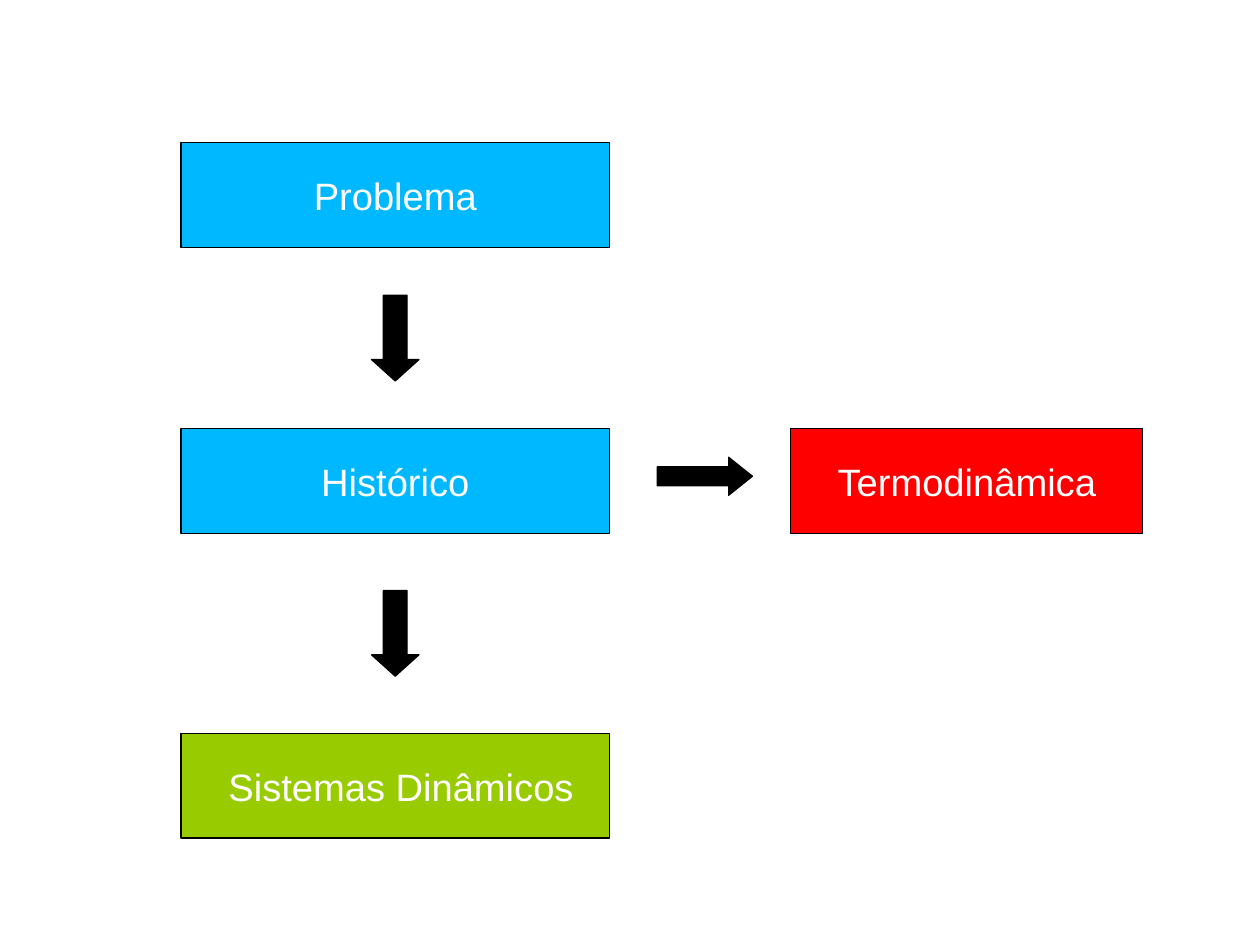
from pptx import Presentation
from pptx.dml.color import RGBColor
from pptx.enum.shapes import MSO_SHAPE as Shape
from pptx.enum.text import MSO_ANCHOR as Anchor, MSO_AUTO_SIZE as AutoSize, PP_ALIGN as Align
from pptx.util import Cm, Inches, Pt

BLUE = RGBColor(0x00, 0xB8, 0xFF)
RED = RGBColor(0xFF, 0x00, 0x00)
GREEN = RGBColor(0x99, 0xCC, 0x00)
BLACK = RGBColor(0x00, 0x00, 0x00)
WHITE = RGBColor(0xFF, 0xFF, 0xFF)

# Grid: twelve cells to the inch
CELL = Inches(1) // 12
MAIN_LEFT, MAIN_WIDTH = 19, 45
SIDE_LEFT, SIDE_WIDTH = 83, 37
PROBLEM_TOP, HISTORY_TOP, SYSTEMS_TOP = 15, 45, 77
BOX_HEIGHT = 11

deck = Presentation()
deck.slide_width = Cm(28)
deck.slide_height = Cm(21)
slide = deck.slides.add_slide(deck.slide_layouts[6])


def add_block(kind, left, top, width, height, color):
    block = slide.shapes.add_shape(kind, *(round(n * CELL) for n in (left, top, width, height)))
    block.shadow.inherit = False
    block.fill.solid()
    block.fill.fore_color.rgb = color
    block.line.color.rgb = BLACK
    block.line.width = Pt(0.75)
    return block


def write(frame, words, align):
    frame.word_wrap = False
    paragraph = frame.paragraphs[0]
    paragraph.alignment = align
    run = paragraph.add_run()
    run.text = words
    run.font.name = "Arial"
    run.font.size = Pt(24)
    run.font.color.rgb = WHITE


# Topics
for topic, left, top, width, color in (
    ("Problema", MAIN_LEFT, PROBLEM_TOP, MAIN_WIDTH, BLUE),
    ("Histórico", MAIN_LEFT, HISTORY_TOP, MAIN_WIDTH, BLUE),
    ("Termodinâmica", SIDE_LEFT, HISTORY_TOP, SIDE_WIDTH, RED),
):
    box = add_block(Shape.RECTANGLE, left, top, width, BOX_HEIGHT, color)
    box.text_frame.vertical_anchor = Anchor.MIDDLE
    write(box.text_frame, topic, Align.CENTER)

# Final topic, with its label set slightly right of centre
add_block(Shape.RECTANGLE, MAIN_LEFT, SYSTEMS_TOP, MAIN_WIDTH, BOX_HEIGHT, GREEN)
systems_label = slide.shapes.add_textbox(Inches(1.9), Inches(6.63), Inches(3.22), Inches(0.5))
write(systems_label.text_frame, "Sistemas Dinâmicos", Align.LEFT)
systems_label.text_frame.auto_size = AutoSize.SHAPE_TO_FIT_TEXT

# Arrows: down the main column, then across to the side topic
DOWN_WIDTH, DOWN_HEIGHT = 5, 9
down_left = MAIN_LEFT + (MAIN_WIDTH - DOWN_WIDTH) / 2
for kind, left, top, width, height, head in (
    (Shape.RIGHT_ARROW, 69, 48, 10, 4, 5 / 8),
    (Shape.DOWN_ARROW, down_left, 62, DOWN_WIDTH, DOWN_HEIGHT, 0.45),
    (Shape.DOWN_ARROW, down_left, 31, DOWN_WIDTH, DOWN_HEIGHT, 0.45),
):
    arrow = add_block(kind, left, top, width, height, BLACK)
    arrow.adjustments[0] = 0.5
    arrow.adjustments[1] = head

deck.save("out.pptx")
